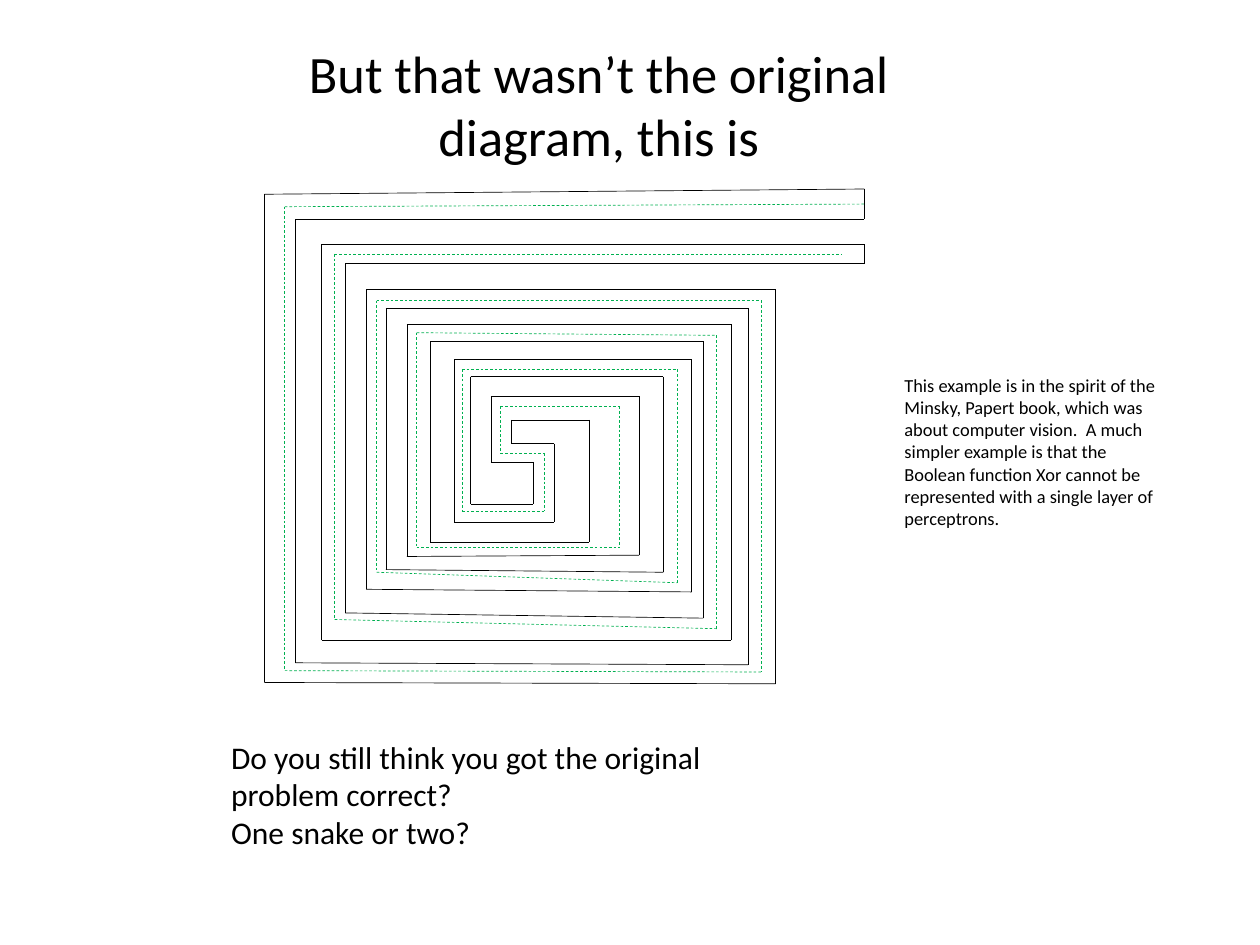
"""Build a slide with a spiral snake diagram: each lane k of a side joins lane k of the next, and each turn moves in by a fixed number of lanes."""
import dataclasses
import pptx
import pptx.dml.color
import pptx.enum.dml
import pptx.enum.shapes
import pptx.enum.text
import pptx.oxml
import pptx.util

Pt = pptx.util.Pt
RGB = pptx.dml.color.RGBColor
Align = pptx.enum.text.PP_ALIGN


class Theme:
    font = "Calibri"
    ink = RGB(0, 0, 0)
    track = RGB(0x00, 0xB0, 0x50)
    title = Pt(40)
    body = Pt(24)
    note = Pt(14)
    line = Pt(0.5)


@dataclasses.dataclass
class Coil:
    """Lanes of each side from outside in, with the tilt of the slanted ones."""
    turn: int
    mouth: list
    lefts: list
    tops: list
    rights: list
    bottoms: list
    core: list
    rises: dict
    drops: dict
    color: RGB
    dash: object = None


deck = pptx.Presentation()
deck.slide_width, deck.slide_height = Pt(960), Pt(720)
slide = deck.slides.add_slide(deck.slide_layouts[6])


def write(text, *, left, top, width, height, size, align=Align.LEFT):
    box = slide.shapes.add_textbox(Pt(left), Pt(top), Pt(width), Pt(height))
    frame = box.text_frame
    frame.word_wrap = True
    frame.auto_size = pptx.enum.text.MSO_AUTO_SIZE.SHAPE_TO_FIT_TEXT
    frame.text = text
    for para in frame.paragraphs:
        para.alignment = align
        para.font.name = Theme.font
        para.font.size = size
        para.font.color.rgb = Theme.ink


def draw(start, end, color, dash):
    wire = slide.shapes.add_connector(
        pptx.enum.shapes.MSO_CONNECTOR.STRAIGHT,
        *(Pt(value) for value in start + end))
    wire.line.color.rgb = color
    wire.line.width = Theme.line
    wire.line.dash_style = dash
    props = wire.element.spPr
    props.append(props.makeelement(pptx.oxml.ns.qn("a:effectLst"), {}))


mouth = 658.5
walls = Coil(
    turn=4,
    mouth=[mouth] * 4,
    lefts=[201.5, 225, 245, 263, 279, 294, 310, 328, 346, 358.5, 374, 389.5],
    tops=[148, 167, 186, 201, 220.5, 235, 247, 260, 274, 287, 302, 320],
    rights=[591, 570, 557, 536, 527, 505.5, 487, 449],
    bottoms=[520, 505, 488, 467, 449, 434, 424, 413, 398, 384, 352, 338],
    core=[422, 406],
    rises={0: 4},
    drops={0: 1, 1: 1.5, 3: 4, 4: 2, 5: 2, 6: -1},
    color=Theme.ink)
tracks = Coil(
    turn=2,
    mouth=[mouth, 641],
    lefts=[217, 255, 287, 317.5, 352, 381.5],
    tops=[157.5, 193.5, 229, 253.5, 281.5, 309.5],
    rights=[580, 546, 516, 472],
    bottoms=[511, 472, 436, 417, 389.5, 345.5],
    core=[415],
    rises={0: 2, 3: -2},
    drops={0: 1, 1: 7, 2: 8},
    color=Theme.track,
    dash=pptx.enum.dml.MSO_LINE.DASH)

for coil in (walls, tracks):
    count = len(coil.lefts)
    ends = coil.mouth + coil.rights + coil.core + coil.core[::-1]
    highs = [top - coil.rises.get(lane, 0) for lane, top in enumerate(coil.tops)]
    highs += coil.bottoms[::-1]
    for lane, (left, top, bottom) in enumerate(
            zip(coil.lefts, coil.tops, coil.bottoms)):
        inner = lane + coil.turn
        low = bottom + coil.drops.get(lane, 0)
        sides = [((left, top), (ends[lane], highs[lane])),
                 ((left, top), (left, bottom)),
                 ((left, bottom), (ends[inner], low))]
        if lane < count - coil.turn // 2:
            sides.append(((ends[inner], highs[inner]), (ends[inner], low)))
        for start, end in sides:
            draw(start, end, coil.color, coil.dash)

for lane in (0, 2):
    high = walls.tops[lane] - walls.rises.get(lane, 0)
    draw((mouth, high), (mouth, walls.tops[lane + 1]), walls.color, walls.dash)

write("But that wasn’t the original diagram, this is",
      left=169, top=27.5, width=574.5, height=104.5,
      size=Theme.title, align=Align.CENTER)
write("Do you still think you got the original problem correct?\n"
      "One snake or two?",
      left=169, top=558.5, width=450, height=94.5, size=Theme.body)
write("This example is in the spirit of the Minsky, Papert book, which was "
      "about computer vision.  A much simpler example is that the Boolean "
      "function Xor cannot be represented with a single layer of perceptrons.",
      left=682, top=281.7, width=211, height=126, size=Theme.note)

deck.save("out.pptx")
